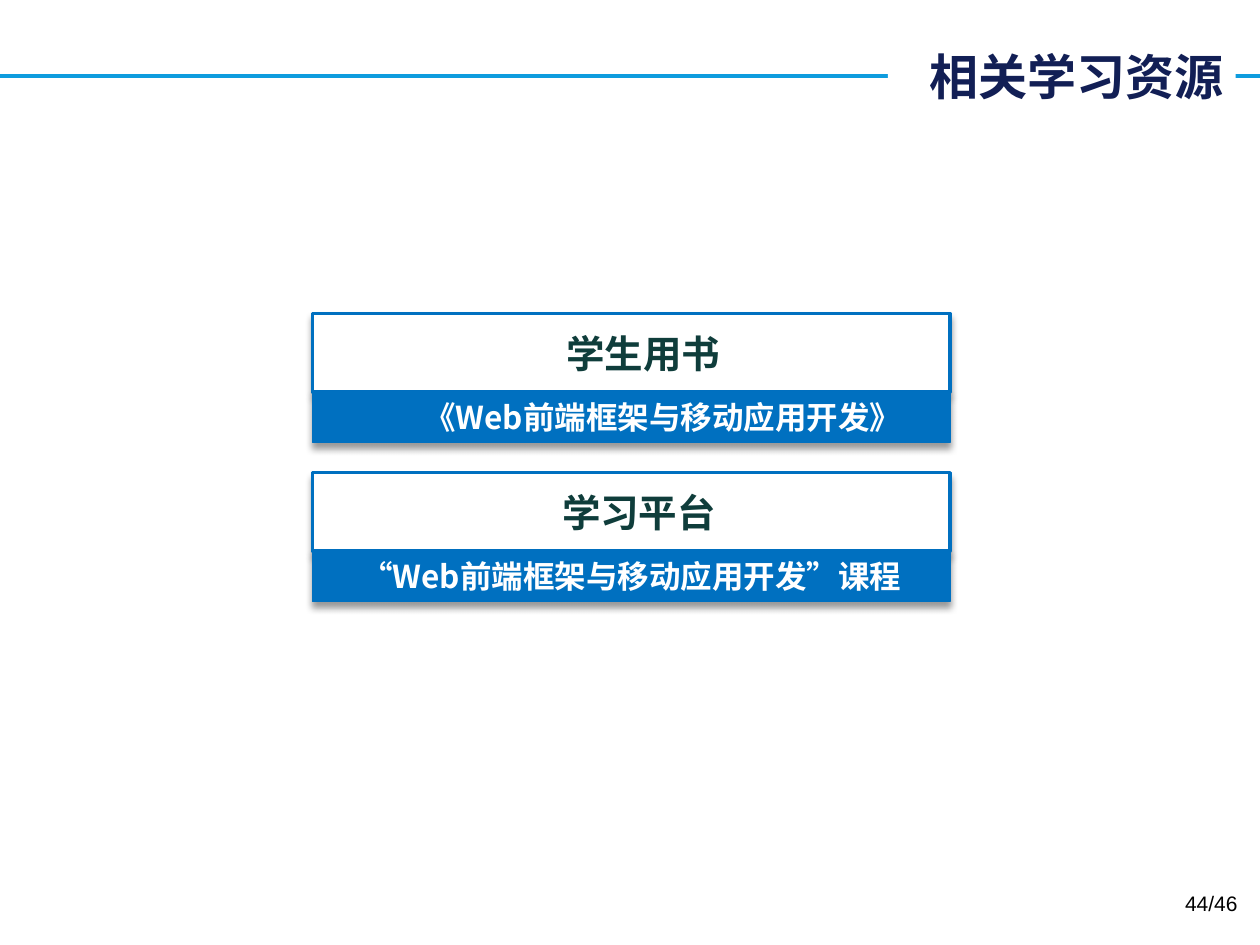
from lxml import etree
from pptx import Presentation
from pptx.dml.color import RGBColor as RGB
from pptx.enum.shapes import MSO_CONNECTOR as Link, MSO_SHAPE as Kind
from pptx.enum.text import MSO_ANCHOR as Anchor, MSO_AUTO_SIZE as Fit, PP_ALIGN as Align
from pptx.oxml import parse_xml
from pptx.oxml.ns import nsdecls, qn
from pptx.util import Cm, Pt

WHITE = RGB(0xFF, 0xFF, 0xFF)
BLACK = RGB(0x00, 0x00, 0x00)
SKY = RGB(0x0E, 0x9C, 0xDE)
NAVY = RGB(0x12, 0x1F, 0x55)
BLUE = RGB(0x00, 0x70, 0xC0)
GREEN = RGB(0x0F, 0x3D, 0x3B)
HAN = "Noto Sans CJK SC"

CARDS = [
    ("学生用书", 0.74, "《Web前端框架与移动应用开发》", 2.06),
    ("学习平台", 0.56, "“Web前端框架与移动应用开发”课程", 0.79),
]


def write(shape, text, size, color, align, face=HAN, bold=True):
    frame = shape.text_frame
    frame.text = text
    frame.word_wrap = True
    frame.auto_size = Fit.NONE
    para = frame.paragraphs[0]
    para.alignment = align
    font = para.runs[0].font
    font.size, font.bold, font.name = Pt(size), bold, face
    font.color.rgb = color
    latin = font._element.find(qn("a:latin"))
    east = etree.Element(qn("a:ea"), typeface=face)
    latin.addnext(east)
    return frame


def shade(shape):
    shape._element.spPr.append(parse_xml(
        f'<a:effectLst {nsdecls("a")}>'
        '<a:outerShdw blurRad="50800" dist="38100" dir="5400000" rotWithShape="0">'
        '<a:srgbClr val="000000"><a:alpha val="40000"/></a:srgbClr>'
        '</a:outerShdw></a:effectLst>'))


def add_box(slide, left, top, width, height, fill, weight):
    box = slide.shapes.add_shape(Kind.RECTANGLE, left, top, width, height)
    box.fill.solid()
    box.fill.fore_color.rgb = fill
    box.line.color.rgb = BLUE
    box.line.width = Pt(weight)
    shade(box)
    box.text_frame.vertical_anchor = Anchor.MIDDLE
    return box


def add_header(slide, left, top, width, height):
    mid = top + height // 2
    rule = slide.shapes.add_connector(Link.STRAIGHT, left, mid, left + width, mid)
    rule.line.color.rgb = SKY
    rule.line.width = Pt(2.25)
    etree.SubElement(rule._element.spPr, qn("a:effectLst"))

    title = slide.shapes.title
    rule._element.addnext(title._element)
    title.left, title.top = left + Cm(17.9), top
    title.width, title.height = Cm(7.01), height
    title.fill.solid()
    title.fill.fore_color.rgb = WHITE
    frame = write(title, "相关学习资源", 28, NAVY, Align.RIGHT)
    frame.vertical_anchor = Anchor.MIDDLE


def add_card(slide, left, top, width, height, card):
    head, pad, note, inset = card
    split = Cm(1.58)
    cap = add_box(slide, left, top, width, split, WHITE, 2)
    frame = write(cap, head, 22, GREEN, Align.CENTER)
    frame.margin_left += Cm(pad - 0.25)

    bar = add_box(slide, left, top + split, width, height - split, BLUE, 0.75)
    frame = write(bar, note, 18, WHITE, Align.CENTER)
    props = frame.paragraphs[0]._p.get_or_add_pPr()
    props.set("marL", str(Cm(inset)))
    props.set("indent", str(-Cm(0.79)))


def add_cards(slide, left, top, width, height):
    gap = Cm(0.61)
    tall = (height - gap * (len(CARDS) - 1)) // len(CARDS)
    for row, card in enumerate(CARDS):
        add_card(slide, left, top + row * (tall + gap), width, tall, card)


def add_page(slide, left, top, width, height):
    box = slide.shapes.add_textbox(left, top, width, height)
    write(box, "44/46", 12, BLACK, Align.RIGHT, "Arial", False)


def main():
    deck = Presentation()
    deck.slide_width, deck.slide_height = Cm(25.4), Cm(19.05)
    slide = deck.slides.add_slide(deck.slide_layouts[5])
    add_header(slide, Cm(0), Cm(0.8), deck.slide_width, Cm(1.45))
    add_cards(slide, Cm(6.3), Cm(6.32), Cm(12.85), Cm(5.81))
    add_page(slide, Cm(19.28), Cm(17.83), Cm(5.92), Cm(1.02))
    deck.save("out.pptx")


if __name__ == "__main__":
    main()
